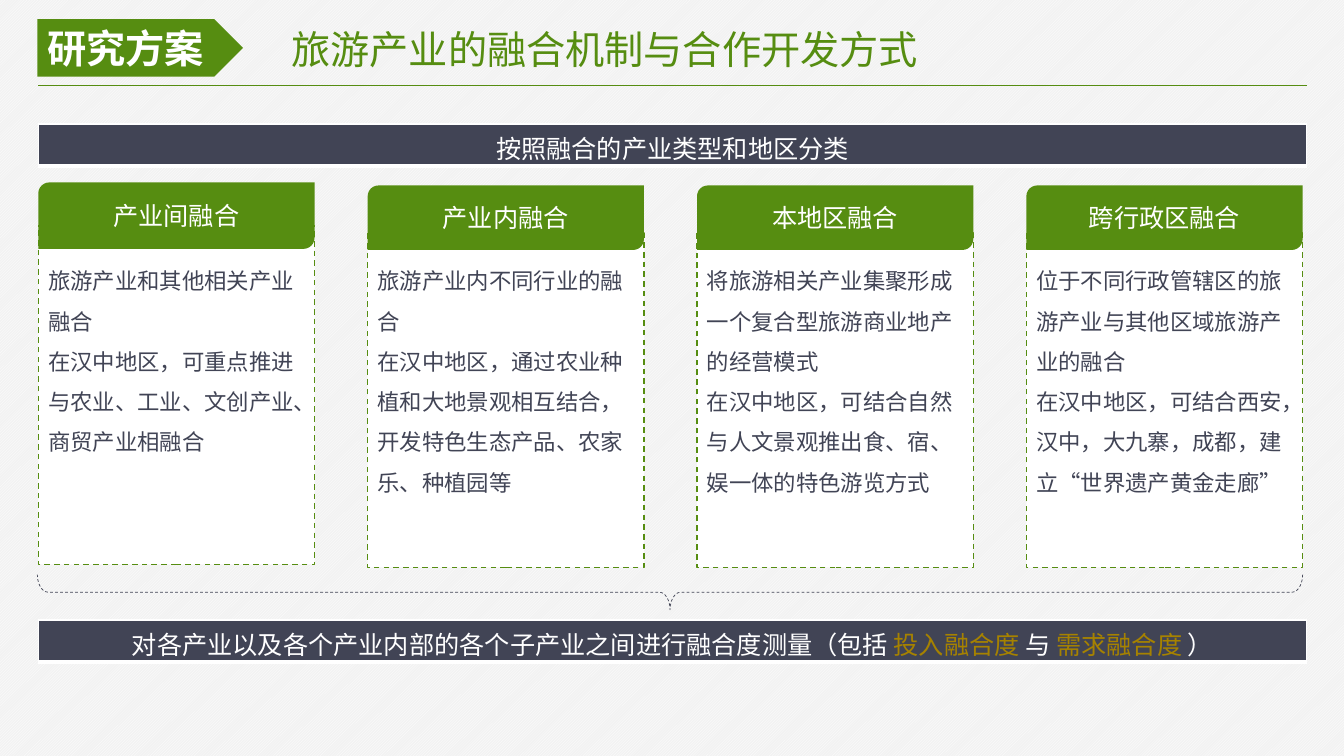
"""Build the slide on tourism industry integration and joint development."""
from lxml.etree import SubElement
from pptx import Presentation
from pptx.dml.color import RGBColor
from pptx.enum.dml import MSO_LINE, MSO_PATTERN
from pptx.enum.shapes import MSO_CONNECTOR, MSO_SHAPE
from pptx.enum.text import MSO_ANCHOR, MSO_AUTO_SIZE, PP_ALIGN
from pptx.oxml.ns import qn
from pptx.util import Inches, Pt

FONT = "Noto Sans CJK SC"
COLORS = {"green": "568D11", "navy": "414455", "gold": "A68200", "white": "FFFFFF", "gray": "F2F2F2"}
SECTION = "研究方案"
TITLE = "旅游产业的融合机制与合作开发方式"
BANNERS = [
    (1.23, [("按照融合的产业类型和地区分类", "white")]),
    (6.15, [
        ("对各产业以及各个产业内部的各个子产业之间进行融合度测量（包括 ", "white"),
        ("投入融合度 ", "gold"),
        ("与 ", "white"),
        ("需求融合度 ", "gold"),
        ("）", "white"),
    ]),
]
CARDS = [
    ("产业间融合", ["旅游产业和其他相关产业融合",
               "在汉中地区，可重点推进与农业、工业、文创产业、商贸产业相融合"]),
    ("产业内融合", ["旅游产业内不同行业的融合",
               "在汉中地区，通过农业种植和大地景观相互结合，开发特色生态产品、农家乐、种植园等"]),
    ("本地区融合", ["将旅游相关产业集聚形成一个复合型旅游商业地产的经营模式",
               "在汉中地区，可结合自然与人文景观推出食、宿、娱一体的特色游览方式"]),
    ("跨行政区融合", ["位于不同行政管辖区的旅游产业与其他区域旅游产业的融合",
                "在汉中地区，可结合西安，汉中，大九寨，成都，建立“世界遗产黄金走廊”"]),
]
LEFT, CONTENT_WIDTH = 0.38, 12.58
CARD_WIDTH, LAST_CARD_LEFT = 2.74, 10.18
FIRST_CARD = {"header": (1.81, 0.66), "frame": (2.24, 3.36)}
OTHER_CARD = {"header": (1.84, 0.64), "frame": (2.31, 3.32)}
BORDERS = [("a:lnL", 1), ("a:lnR", 1), ("a:lnT", 1), ("a:lnB", 3)]


def rgb(name):
    return RGBColor.from_string(COLORS[name])


def add_run(paragraph, text, size, color, bold=False):
    run = paragraph.add_run()
    run.text = text
    font = run.font
    font.size, font.bold, font.name = Pt(size), bold, FONT
    font.color.rgb = rgb(color)
    SubElement(font._element, qn("a:ea"), typeface=FONT)


def add_shape(slide, kind, box, fill=None, line=None, width=1):
    shape = slide.shapes.add_shape(kind, *map(Inches, box))
    shape.shadow.inherit = False
    if fill:
        shape.fill.solid()
        shape.fill.fore_color.rgb = rgb(fill)
    else:
        shape.fill.background()
    if line:
        shape.line.color.rgb = rgb(line)
        shape.line.width = Pt(width)
        shape.line.dash_style = MSO_LINE.DASH
    else:
        shape.line.fill.background()
    return shape


def label_shape(shape, text, size, alignment, bold=False):
    frame = shape.text_frame
    frame.word_wrap = False
    frame.vertical_anchor = MSO_ANCHOR.MIDDLE
    paragraph = frame.paragraphs[0]
    paragraph.alignment = alignment
    add_run(paragraph, text, size, "white", bold)


def add_heading(slide):
    title = slide.shapes.title
    title.left, title.top, title.width, title.height = map(Inches, (2.79, 0.2, 7.81, 0.57))
    frame = title.text_frame
    frame.word_wrap = True
    frame.auto_size = MSO_AUTO_SIZE.NONE
    frame.vertical_anchor = MSO_ANCHOR.TOP
    paragraph = frame.paragraphs[0]
    paragraph.alignment = PP_ALIGN.LEFT
    add_run(paragraph, TITLE, 28, "green")

    tag = add_shape(slide, MSO_SHAPE.PENTAGON, (0.37, 0.19, 2.04, 0.57), "green")
    label_shape(tag, SECTION, 28, PP_ALIGN.LEFT, True)

    ends = (LEFT, 0.85, LEFT + CONTENT_WIDTH, 0.85)
    rule = slide.shapes.add_connector(MSO_CONNECTOR.STRAIGHT, *map(Inches, ends))
    rule.line.color.rgb = rgb("green")
    rule.line.width = Pt(1)
    SubElement(rule._element.spPr, qn("a:effectLst"))


def add_card(slide, left, layout, heading, points):
    top, height = layout["frame"]
    add_shape(slide, MSO_SHAPE.RECTANGLE, (left, top, CARD_WIDTH, height), "white", "green")
    body = slide.shapes.add_textbox(*map(Inches, (left, 2.47, 2.77, 2.52)))
    frame = body.text_frame
    frame.word_wrap = True
    for index, point in enumerate(points):
        paragraph = frame.add_paragraph() if index else frame.paragraphs[0]
        paragraph.line_spacing = 1.5
        add_run(paragraph, point, 16, "navy")
    top, height = layout["header"]
    header = add_shape(slide, MSO_SHAPE.ROUND_2_DIAG_RECTANGLE, (left, top, CARD_WIDTH, height), "green")
    label_shape(header, heading, 18, PP_ALIGN.CENTER)


def add_banner(slide, top, parts):
    box = map(Inches, (LEFT, top, CONTENT_WIDTH, 0.42))
    table = slide.shapes.add_table(1, 1, *box).table
    table.first_row = table.horz_banding = False
    cell = table.cell(0, 0)
    cell.margin_bottom = 0
    properties = cell._tc.get_or_add_tcPr()
    for tag, width in BORDERS:
        border = SubElement(properties, qn(tag), w=str(Pt(width)))
        solid = SubElement(border, qn("a:solidFill"))
        SubElement(solid, qn("a:srgbClr"), val=COLORS["white"])
    cell.fill.solid()
    cell.fill.fore_color.rgb = rgb("navy")
    paragraph = cell.text_frame.paragraphs[0]
    paragraph.alignment = PP_ALIGN.CENTER
    for text, color in parts:
        add_run(paragraph, text, 18, color)


def main():
    presentation = Presentation()
    presentation.slide_width, presentation.slide_height = Inches(13.33), Inches(7.5)
    slide = presentation.slides.add_slide(presentation.slide_layouts[5])
    background = slide.background.fill
    background.patterned()
    background.pattern = MSO_PATTERN.LIGHT_UPWARD_DIAGONAL
    background.fore_color.rgb = rgb("white")
    background.back_color.rgb = rgb("gray")

    add_heading(slide)
    pitch = (LAST_CARD_LEFT - LEFT) / (len(CARDS) - 1)
    for index, (heading, points) in enumerate(CARDS):
        layout = OTHER_CARD if index else FIRST_CARD
        add_card(slide, LEFT + index * pitch, layout, heading, points)
    for top, parts in BANNERS:
        add_banner(slide, top, parts)

    brace = add_shape(slide, MSO_SHAPE.RIGHT_BRACE, (6.47, -0.4, 0.35, 12.55), None, "navy", 0.5)
    brace.rotation = 90
    brace.adjustments[0], brace.adjustments[1] = 0.3, 0.5
    presentation.save("out.pptx")


if __name__ == "__main__":
    main()
